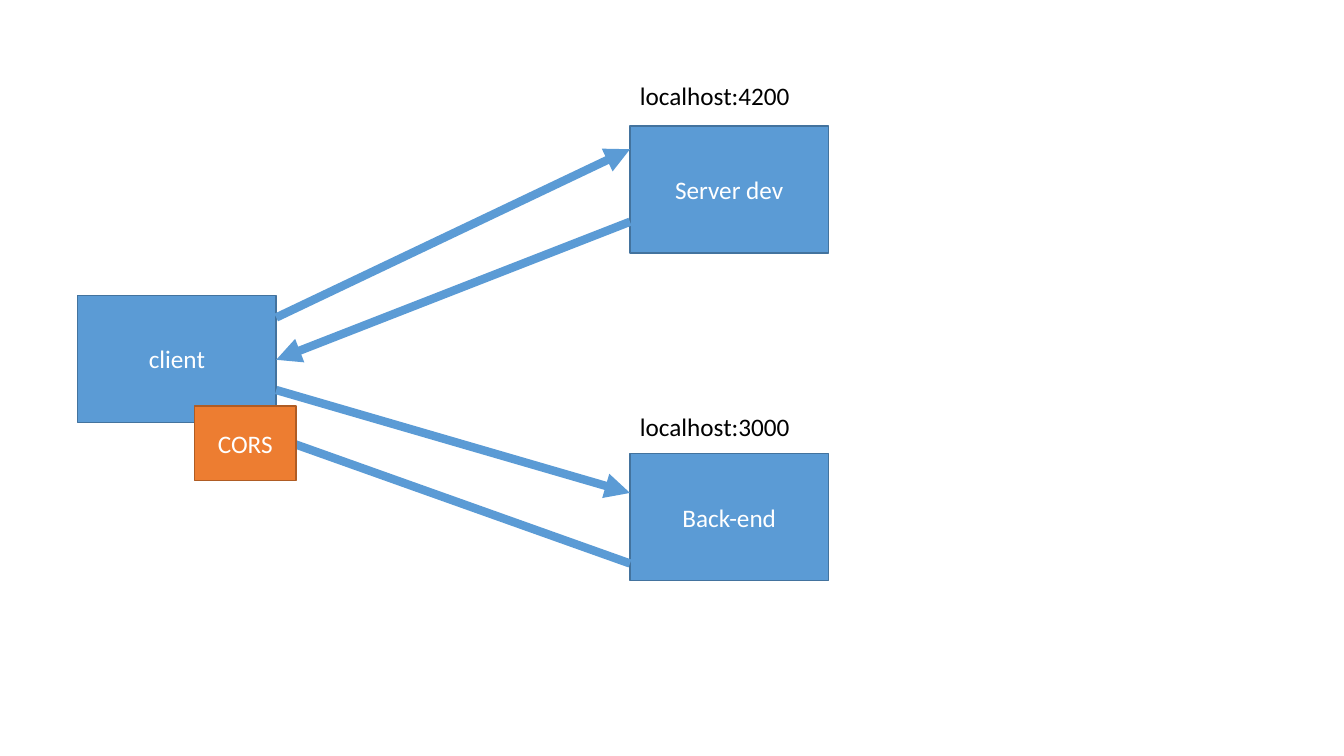
from lxml import etree
from pptx import Presentation
from pptx.dml.color import RGBColor
from pptx.enum.shapes import MSO_CONNECTOR, MSO_SHAPE
from pptx.enum.text import MSO_ANCHOR, MSO_AUTO_SIZE, PP_ALIGN
from pptx.oxml.ns import qn
from pptx.util import Pt

RECT = MSO_SHAPE.RECTANGLE
STRAIGHT = MSO_CONNECTOR.STRAIGHT
MIDDLE = MSO_ANCHOR.MIDDLE
FIT_SHAPE = MSO_AUTO_SIZE.SHAPE_TO_FIT_TEXT
LEFT, CENTER = PP_ALIGN.LEFT, PP_ALIGN.CENTER

BLUE = RGBColor(0x5B, 0x9B, 0xD5)
DARK_BLUE = RGBColor(0x43, 0x73, 0x9E)
ORANGE = RGBColor(0xED, 0x7D, 0x31)
DARK_ORANGE = RGBColor(0xAF, 0x5C, 0x24)
WHITE = RGBColor(0xFF, 0xFF, 0xFF)
BLACK = RGBColor(0, 0, 0)

NODE_W, NODE_H = 141.8, 90.7
CLIENT_X, CLIENT_Y = 55.5, 211
CLIENT_RIGHT = CLIENT_X + NODE_W
SERVER_X = 450


def write_text(tf, text, *, color=BLACK, align=LEFT, size=18, font="Calibri"):
    """Put one formatted line of text in a text frame."""
    p = tf.paragraphs[0]
    p.alignment = align
    r = p.add_run()
    r.text = text
    r.font.name = font
    r.font.size = Pt(size)
    r.font.color.rgb = color


def add_box(s, text, x, y, w=NODE_W, h=NODE_H, fill=BLUE, line=DARK_BLUE):
    """Add a filled rectangle with centred white text."""
    sp = s.shapes.add_shape(RECT, Pt(x), Pt(y), Pt(w), Pt(h))
    sp.shadow.inherit = False
    sp.fill.solid()
    sp.fill.fore_color.rgb = fill
    sp.line.color.rgb = line
    sp.line.width = Pt(1)
    sp.text_frame.word_wrap = True
    sp.text_frame.vertical_anchor = MIDDLE
    write_text(sp.text_frame, text, color=WHITE, align=CENTER)


def add_label(s, text, x, y):
    """Add an unwrapped address label."""
    tf = s.shapes.add_textbox(Pt(x), Pt(y), Pt(122.4), Pt(29)).text_frame
    tf.word_wrap = False
    tf.auto_size = FIT_SHAPE
    write_text(tf, text)


def add_arrow(s, x1, y1, x2, y2):
    """Add a thick arrow pointing at the second point."""
    cxn = s.shapes.add_connector(STRAIGHT, Pt(x1), Pt(y1), Pt(x2), Pt(y2))
    cxn.line.color.rgb = BLUE
    cxn.line.width = Pt(6)
    ln = cxn.line._get_or_add_ln()
    etree.SubElement(ln, qn("a:tailEnd"), type="triangle")
    etree.SubElement(cxn._element.spPr, qn("a:effectLst"))


def main():
    """Build the client and server request diagram."""
    prs = Presentation()
    prs.slide_width, prs.slide_height = Pt(960), Pt(540)
    s = prs.slides.add_slide(prs.slide_layouts[6])

    add_box(s, "client", CLIENT_X, CLIENT_Y)
    for name, y, address, label_y in (
        ("Server dev", 90, "localhost:4200", 54),
        ("Back-end", 324, "localhost:3000", 290),
    ):
        add_box(s, name, SERVER_X, y)
        add_label(s, address, SERVER_X, label_y)

    add_arrow(s, CLIENT_RIGHT, 226.8, SERVER_X, 106.6)
    add_arrow(s, SERVER_X, 158.4, CLIENT_RIGHT, 257)
    add_arrow(s, CLIENT_RIGHT, 278.6, SERVER_X, 352.1)
    add_arrow(s, SERVER_X, 402.5, 175, 304.6)
    add_box(s, "CORS", 139, 290, 72.3, 53.3, ORANGE, DARK_ORANGE)

    prs.save("out.pptx")


main()
